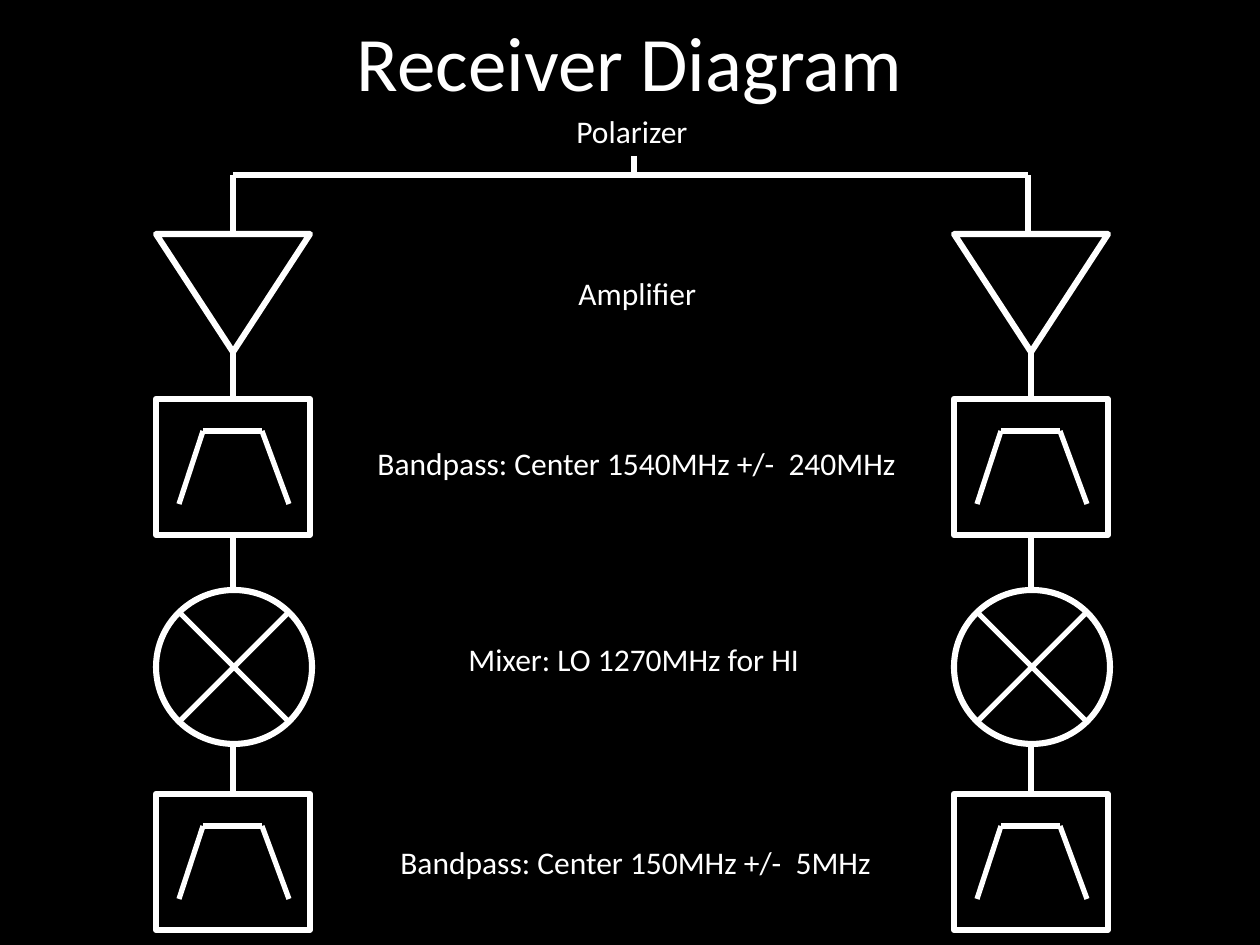
from itertools import pairwise

from pptx import Presentation
from pptx.dml.color import RGBColor as RGB
from pptx.enum.shapes import MSO_CONNECTOR as CONN, MSO_SHAPE as SHAPE
from pptx.enum.text import MSO_ANCHOR as ANCHOR, MSO_AUTO_SIZE as AUTO, PP_ALIGN as ALIGN
from pptx.oxml.ns import qn
from pptx.util import Emu, Pt
from lxml.etree import SubElement

COLORS = {"background": "000000", "ink": "FFFFFF"}
FONT = "Calibri"
SCALE = 914400 / 126


def px(*values):
    return [Emu(round(v * SCALE)) for v in values]


def color(name):
    return RGB.from_string(COLORS[name])


def add_line(shapes, start, end):
    c = shapes.add_connector(CONN.STRAIGHT, *px(*start, *end))
    c.line.color.rgb = color("ink")
    c.line.width = Pt(3)
    SubElement(c._element.spPr, qn("a:effectLst"))


def add_outline(s, kind, box):
    sp = s.shapes.add_shape(kind, *px(*box))
    sp.shadow.inherit = False
    sp.fill.background()
    sp.line.color.rgb = color("ink")
    sp.line.width = Pt(3.5)
    return sp


def add_text(s, text, box, size):
    tf = s.shapes.add_textbox(*px(*box)).text_frame
    tf.text = text
    font = tf.paragraphs[0].runs[0].font
    font.name, font.size = FONT, Pt(size)
    font.color.rgb = color("ink")
    return tf


def add_title(s, text, box):
    tf = add_text(s, text, box, 44)
    tf.word_wrap = True
    tf.vertical_anchor = ANCHOR.MIDDLE
    tf.paragraphs[0].alignment = ALIGN.CENTER


def add_label(s, text, x, y, w):
    tf = add_text(s, text, (x, y, w, 50), 18)
    tf.word_wrap = False
    tf.auto_size = AUTO.SHAPE_TO_FIT_TEXT


def add_amplifier(s, x, y, w, h):
    add_outline(s, SHAPE.ISOSCELES_TRIANGLE, (x, y, w, h)).rotation = 180


def add_bandpass(s, x, y, w, h):
    add_outline(s, SHAPE.RECTANGLE, (x, y, w, h))
    group = s.shapes.add_group_shape()
    curve = [(23, 105), (47, 32), (106, 32), (133, 105)]
    for start, end in pairwise((x + dx, y + dy) for dx, dy in curve):
        add_line(group.shapes, start, end)


def add_mixer(s, x, y, w, h):
    add_outline(s, SHAPE.OVAL, (x, y, w, h))
    left, right, top, bottom = x + 23, x + w - 23, y + 22, y + h - 22
    add_line(s.shapes, (left, bottom), (right, top))
    add_line(s.shapes, (left, top), (right, bottom))


def add_chain(s, x, y):
    stages = [
        (add_amplifier, 0, 154, 118),
        (add_bandpass, 165, 154, 136),
        (add_mixer, 356, 156, 154),
        (add_bandpass, 560, 154, 136),
    ]
    for add_stage, dy, w, h in stages:
        add_stage(s, x, y + dy, w, h)
    for (_, dy, _, h), (_, next_dy, _, _) in pairwise(stages):
        add_line(s.shapes, (x + 77, y + dy + h), (x + 77, y + next_dy))


def add_splitter(s, x, y, w, h):
    feed, bus = x + 401, y + 19
    for branch in (x, x + w):
        add_line(s.shapes, (branch, y + h), (branch, bus))
    add_line(s.shapes, (x, bus), (x + w, bus))
    add_line(s.shapes, (feed, y), (feed, bus))


def add_receiver_slide(prs):
    s = prs.slides.add_slide(prs.slide_layouts[6])
    s.background.fill.solid()
    s.background.fill.fore_color.rgb = color("background")
    add_title(s, "Receiver Diagram", (63, -18, 1134, 158))
    for x in (156, 954):
        add_chain(s, x, 234)
    add_splitter(s, 233, 156, 795, 78)
    for label in [
        ("Polarizer", 564, 106, 139),
        ("Amplifier", 566, 268, 145),
        ("Bandpass: Center 1540MHz +/-  240MHz", 365, 438, 551),
        ("Mixer: LO 1270MHz for HI", 456, 634, 362),
        ("Bandpass: Center 150MHz +/-  5MHz", 388, 837, 501),
    ]:
        add_label(s, *label)


def main():
    prs = Presentation()
    prs.slide_width, prs.slide_height = px(1260, 945)
    add_receiver_slide(prs)
    prs.save("out.pptx")


if __name__ == "__main__":
    main()
